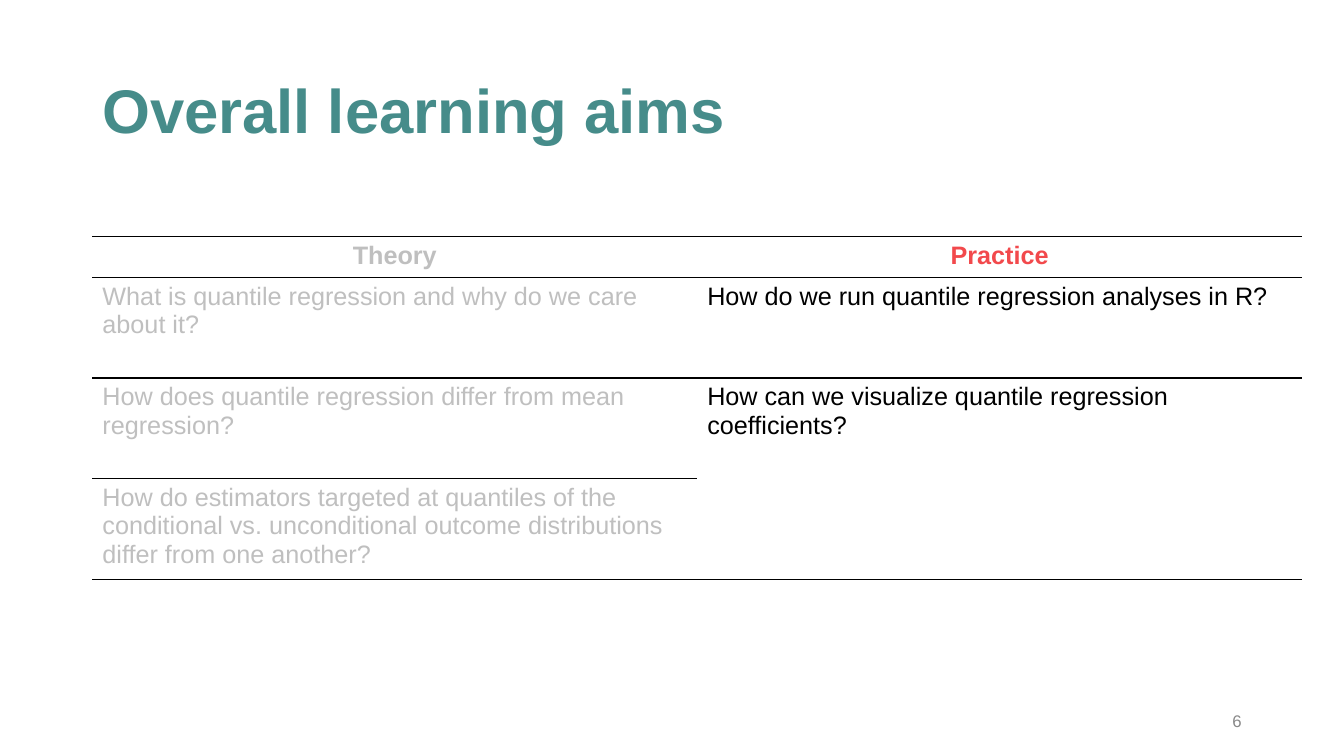
from lxml import etree
from pptx import Presentation
from pptx.dml.color import RGBColor
from pptx.enum import text
from pptx.oxml import ns
from pptx.util import Pt

TEAL = RGBColor(0x46, 0x8C, 0x8A)
RED = RGBColor(0xF2, 0x49, 0x4C)
PALE = RGBColor(0xBF, 0xBF, 0xBF)
GREY = RGBColor(0x88, 0x88, 0x88)
BLACK = RGBColor(0, 0, 0)
NO_GRID_STYLE = "{2D5ABB26-0587-4C30-8999-92F81FD0307C}"


def style(paragraph, size, color, bold=False):
    paragraph.font.name = "Arial"
    paragraph.font.size = Pt(size)
    paragraph.font.bold = bold
    paragraph.font.color.rgb = color


def add_rule(cell, side):
    line = etree.SubElement(cell._tc.get_or_add_tcPr(), ns.qn(f"a:{side}"), w=str(Pt(1)))
    fill = etree.SubElement(line, ns.qn("a:solidFill"))
    etree.SubElement(fill, ns.qn("a:srgbClr"), val=str(BLACK))


deck = Presentation()
deck.slide_width, deck.slide_height = Pt(960), Pt(540)
slide = deck.slides.add_slide(deck.slide_layouts[6])

labels = [
    ("Overall learning aims", (66, 28.75, 828, 104.4), 44, TEAL, True, text.PP_ALIGN.LEFT),
    ("6", (678, 500.5, 216, 28.75), 12, GREY, False, text.PP_ALIGN.RIGHT),
]
for words, place, size, color, bold, align in labels:
    frame = slide.shapes.add_textbox(*map(Pt, place)).text_frame
    frame.word_wrap = True
    frame.vertical_anchor = text.MSO_ANCHOR.MIDDLE
    frame.text = words
    line = frame.paragraphs[0]
    line.alignment = align
    line.line_spacing = 0.9 if bold else 1.0
    style(line, size, color, bold)

aims = [
    ("Theory", "Practice"),
    ("What is quantile regression and why do we care about it?",
     "How do we run quantile regression analyses in R?"),
    ("How does quantile regression differ from mean regression?",
     "How can we visualize quantile regression coefficients?"),
    ("How do estimators targeted at quantiles of the conditional vs. unconditional "
     "outcome distributions differ from one another?", ""),
]
row_heights = [28.8, 72, 72, 72]
rules = {0: ["lnT", "lnB"], 1: ["lnT"], 3: ["lnB"]}

aims_table = slide.shapes.add_table(
    len(aims), 2, Pt(66), Pt(169.2), Pt(864), Pt(sum(row_heights))).table
aims_table._tbl.tblPr.find(ns.qn("a:tableStyleId")).text = NO_GRID_STYLE
aims_table.first_row = aims_table.horz_banding = False
for column in aims_table.columns:
    column.width = Pt(432)

for r, row in enumerate(aims):
    aims_table.rows[r].height = Pt(row_heights[r])
    for c, words in enumerate(row):
        cell = aims_table.cell(r, c)
        for side in rules.get(r, []):
            add_rule(cell, side)
        if (r, c) == (1, 0):
            add_rule(cell, "lnB")
        if (r, c) == (2, 0):
            add_rule(cell, "lnT")
        cell.fill.background()
        cell.text = words
        aim = cell.text_frame.paragraphs[0]
        heading = r == 0
        if heading:
            aim.alignment = text.PP_ALIGN.CENTER
        style(aim, 18, PALE if c == 0 else RED if heading else BLACK, heading)

deck.save("out.pptx")
